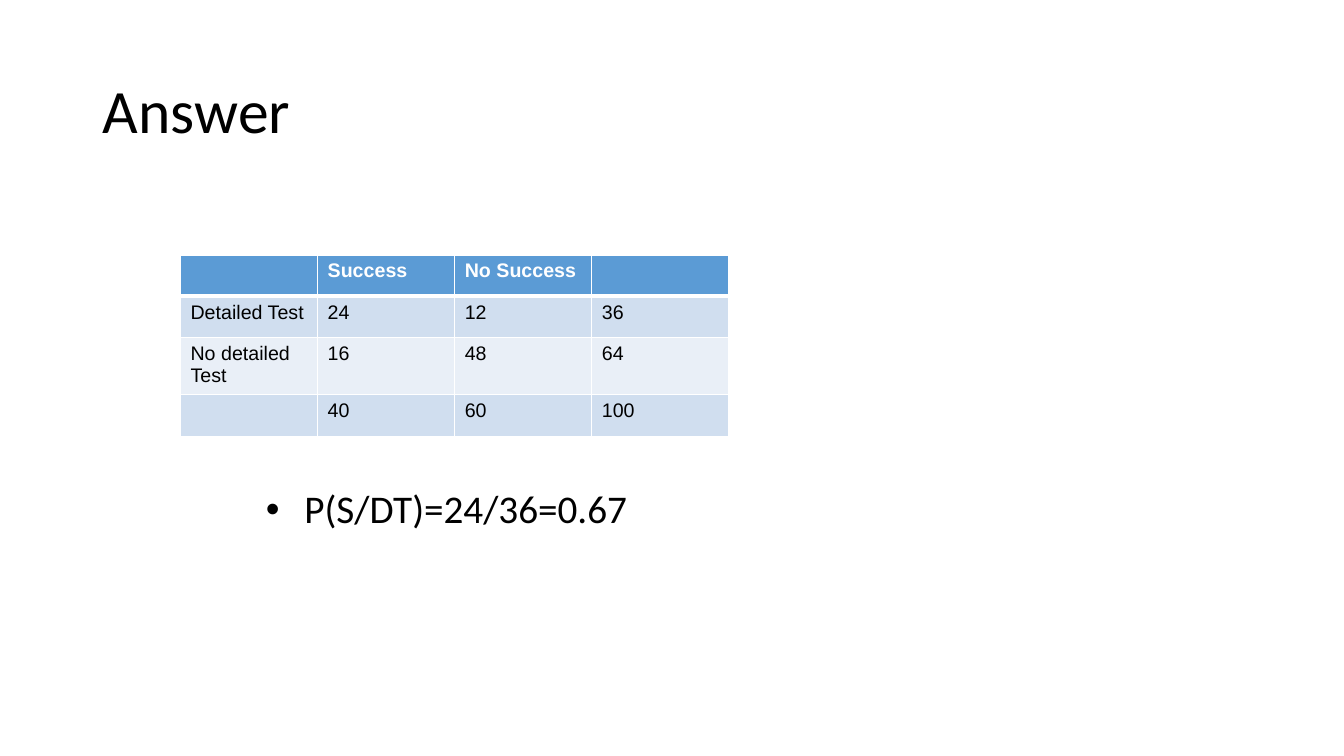
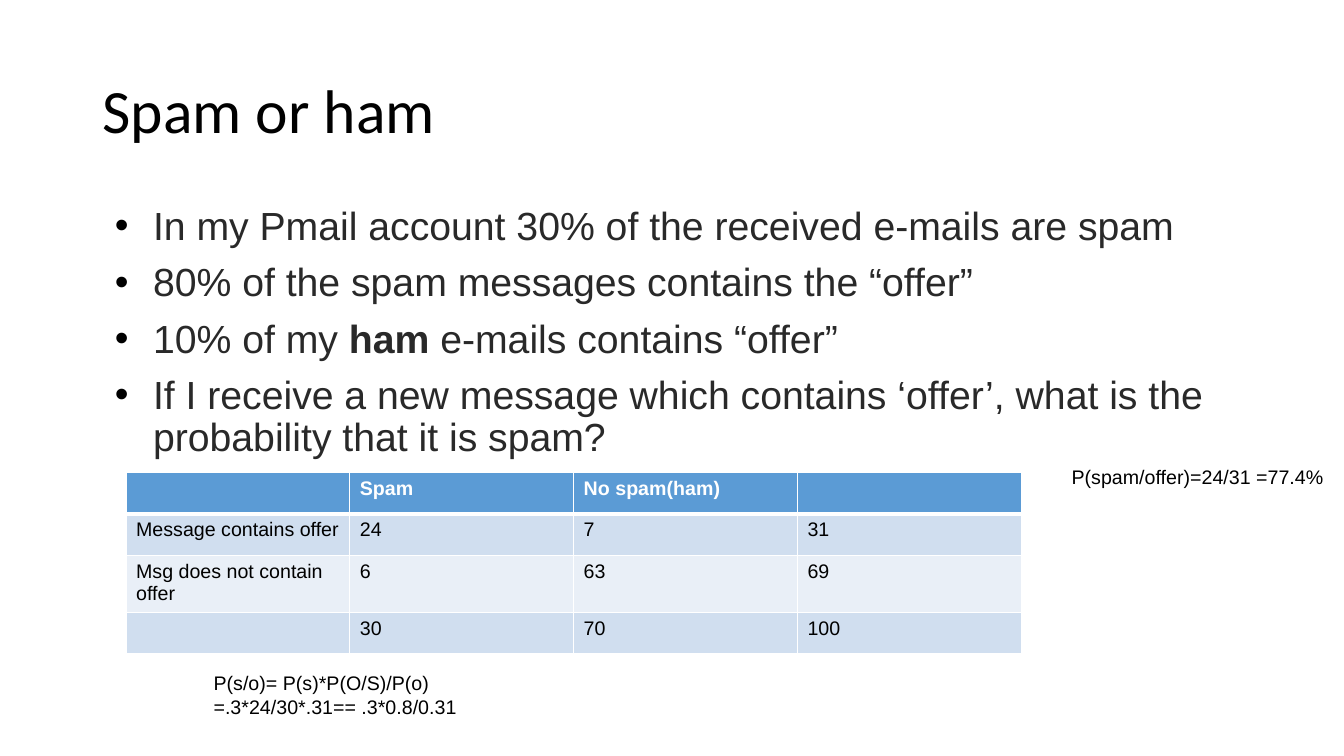
"""Build two slides on conditional probability, each with a contingency table."""

from dataclasses import dataclass
from typing import Any

import pptx
import pptx.dml.color
import pptx.enum.text
import pptx.oxml
import pptx.oxml.ns
import pptx.util

Inches = pptx.util.Inches
Pt = pptx.util.Pt

COLOURS = {
    "black": "000000",
    "charcoal": "292929",
    "white": "FFFFFF",
    "header": "5B9BD5",
    "band_dark": "D0DEEF",
    "band_light": "E9EFF7",
}
ROW_HEIGHT = 0.41


@dataclass(frozen=True)
class TextStyle:
    font: str
    size: float
    colour: str
    bold: bool = False


@dataclass(frozen=True)
class Box:
    left: float
    top: float
    width: float
    height: float


@dataclass(frozen=True)
class Note:
    text: str
    box: Box


@dataclass(frozen=True)
class Bullets:
    lines: tuple[str, ...]
    box: Box
    style: TextStyle
    bold_word: str = ""


@dataclass(frozen=True)
class Contingency:
    rows: tuple[tuple[str, ...], ...]
    left: float
    top: float
    column_width: float


@dataclass(frozen=True)
class SlideContent:
    title: str
    bullets: Bullets
    table: Contingency
    notes: tuple[Note, ...] = ()


TITLE_BOX = Box(0.92, 0.4, 11.5, 1.45)
TITLE_STYLE = TextStyle("Calibri", 44, "black")
NOTE_STYLE = TextStyle("Arial", 14, "black")
HEADER_STYLE = TextStyle("Arial", 14, "white", True)

SLIDES = (
    SlideContent(
        "Answer",
        Bullets(
            ("P(S/DT)=24/36=0.67",),
            Box(2.42, 4.81, 4.37, 1.13),
            TextStyle("Calibri", 28, "black"),
        ),
        Contingency(
            (
                ("", "Success", "No Success", ""),
                ("Detailed Test", "24", "12", "36"),
                ("No detailed Test", "16", "48", "64"),
                ("", "40", "60", "100"),
            ),
            1.79, 2.53, 1.36,
        ),
    ),
    SlideContent(
        "Spam or ham",
        Bullets(
            (
                "In my Pmail account 30% of the received e-mails are spam",
                "80% of the spam messages contains the “offer”",
                "10% of my ham e-mails contains “offer”",
                "If I receive a new message which contains ‘offer’, "
                "what is the probability that it is spam?",
            ),
            Box(0.92, 2, 11.5, 3.33),
            TextStyle("Arial", 28, "charcoal"),
            bold_word=" ham ",
        ),
        Contingency(
            (
                ("", "Spam", "No spam(ham)", ""),
                ("Message contains offer", "24", "7", "31"),
                ("Msg does not contain offer", "6", "63", "69"),
                ("", "30", "70", "100"),
            ),
            1.25, 4.69, 2.22,
        ),
        (
            Note("P(spam/offer)=24/31 =77.4%", Box(10.53, 4.56, 2.71, 0.34)),
            Note(
                "P(s/o)= P(s)*P(O/S)/P(o) =.3*24/30*.31== .3*0.8/0.31",
                Box(2.02, 6.61, 2.71, 0.57),
            ),
        ),
    ),
)


def rgb(name: str) -> pptx.dml.color.RGBColor:
    """Return the named colour."""
    return pptx.dml.color.RGBColor.from_string(COLOURS[name])


def format_runs(paragraph: Any, style: TextStyle) -> None:
    """Apply a text style to every run of a paragraph."""
    for run in paragraph.runs:
        run.font.name = style.font
        run.font.size = Pt(style.size)
        run.font.bold = style.bold
        run.font.color.rgb = rgb(style.colour)


def add_text(slide: Any, text: str, box: Box, style: TextStyle) -> Any:
    """Add a wrapping text box and return its text frame."""
    shape = slide.shapes.add_textbox(
        Inches(box.left), Inches(box.top), Inches(box.width), Inches(box.height)
    )
    text_frame = shape.text_frame
    text_frame.word_wrap = True
    text_frame.text = text
    for paragraph in text_frame.paragraphs:
        format_runs(paragraph, style)
    return text_frame


def add_title(slide: Any, text: str) -> None:
    """Add the slide title."""
    text_frame = add_text(slide, text, TITLE_BOX, TITLE_STYLE)
    text_frame.vertical_anchor = pptx.enum.text.MSO_ANCHOR.MIDDLE
    text_frame.paragraphs[0].line_spacing = 0.9


def set_bullet(paragraph: Any) -> None:
    """Give a paragraph a hanging black bullet."""
    properties = paragraph._p.get_or_add_pPr()
    properties.set("marL", str(Inches(0.5)))
    properties.set("indent", str(Inches(-0.38)))
    namespace = pptx.oxml.ns.nsdecls("a")
    for markup in (
        f'<a:buClr {namespace}><a:srgbClr val="{COLOURS["black"]}"/></a:buClr>',
        f'<a:buFont {namespace} typeface="Arial"/>',
        f'<a:buChar {namespace} char="•"/>',
    ):
        properties.append(pptx.oxml.parse_xml(markup))


def embolden(paragraph: Any, word: str, style: TextStyle) -> None:
    """Split a paragraph into runs so that one word is bold."""
    before, _, after = paragraph.text.partition(word)
    paragraph.text = before + " "
    paragraph.add_run().text = word.strip()
    paragraph.add_run().text = " " + after
    format_runs(paragraph, style)
    paragraph.runs[1].font.bold = True


def add_bullets(slide: Any, bullets: Bullets) -> None:
    """Add the bulleted list."""
    text_frame = add_text(slide, "\n".join(bullets.lines), bullets.box, bullets.style)
    for paragraph in text_frame.paragraphs:
        paragraph.line_spacing = 0.9
        paragraph.space_before = Pt(10)
        set_bullet(paragraph)
        if bullets.bold_word and bullets.bold_word in paragraph.text:
            embolden(paragraph, bullets.bold_word, bullets.style)


def set_borders(cell: Any, row: int) -> None:
    """Draw white cell borders, heavier under the header row."""
    widths = {"L": 1, "R": 1, "T": 3 if row == 1 else 1, "B": 3 if row == 0 else 1}
    properties = cell._tc.get_or_add_tcPr()
    for side, width in widths.items():
        properties.append(pptx.oxml.parse_xml(
            f'<a:ln{side} {pptx.oxml.ns.nsdecls("a")} w="{Pt(width)}">'
            f'<a:solidFill><a:srgbClr val="{COLOURS["white"]}"/></a:solidFill>'
            f"</a:ln{side}>"
        ))


def add_contingency(slide: Any, content: Contingency) -> None:
    """Add a table with a header row and banded body rows."""
    row_count, column_count = len(content.rows), len(content.rows[0])
    table = slide.shapes.add_table(
        row_count, column_count, Inches(content.left), Inches(content.top),
        Inches(content.column_width * column_count), Inches(ROW_HEIGHT * row_count),
    ).table
    for column in table.columns:
        column.width = Inches(content.column_width)
    for row, values in enumerate(content.rows):
        table.rows[row].height = Inches(ROW_HEIGHT)
        band = "band_dark" if row % 2 else "band_light"
        for column, value in enumerate(values):
            cell = table.cell(row, column)
            set_borders(cell, row)
            cell.fill.solid()
            cell.fill.fore_color.rgb = rgb(band if row else "header")
            cell.text_frame.text = value
            format_runs(
                cell.text_frame.paragraphs[0], NOTE_STYLE if row else HEADER_STYLE
            )


def main() -> None:
    """Build and save the presentation."""
    presentation = pptx.Presentation()
    presentation.slide_width = Inches(13.33)
    presentation.slide_height = Inches(7.5)
    for content in SLIDES:
        slide = presentation.slides.add_slide(presentation.slide_layouts[6])
        add_title(slide, content.title)
        add_bullets(slide, content.bullets)
        add_contingency(slide, content.table)
        for note in content.notes:
            add_text(slide, note.text, note.box, NOTE_STYLE)
    presentation.save("out.pptx")


if __name__ == "__main__":
    main()
